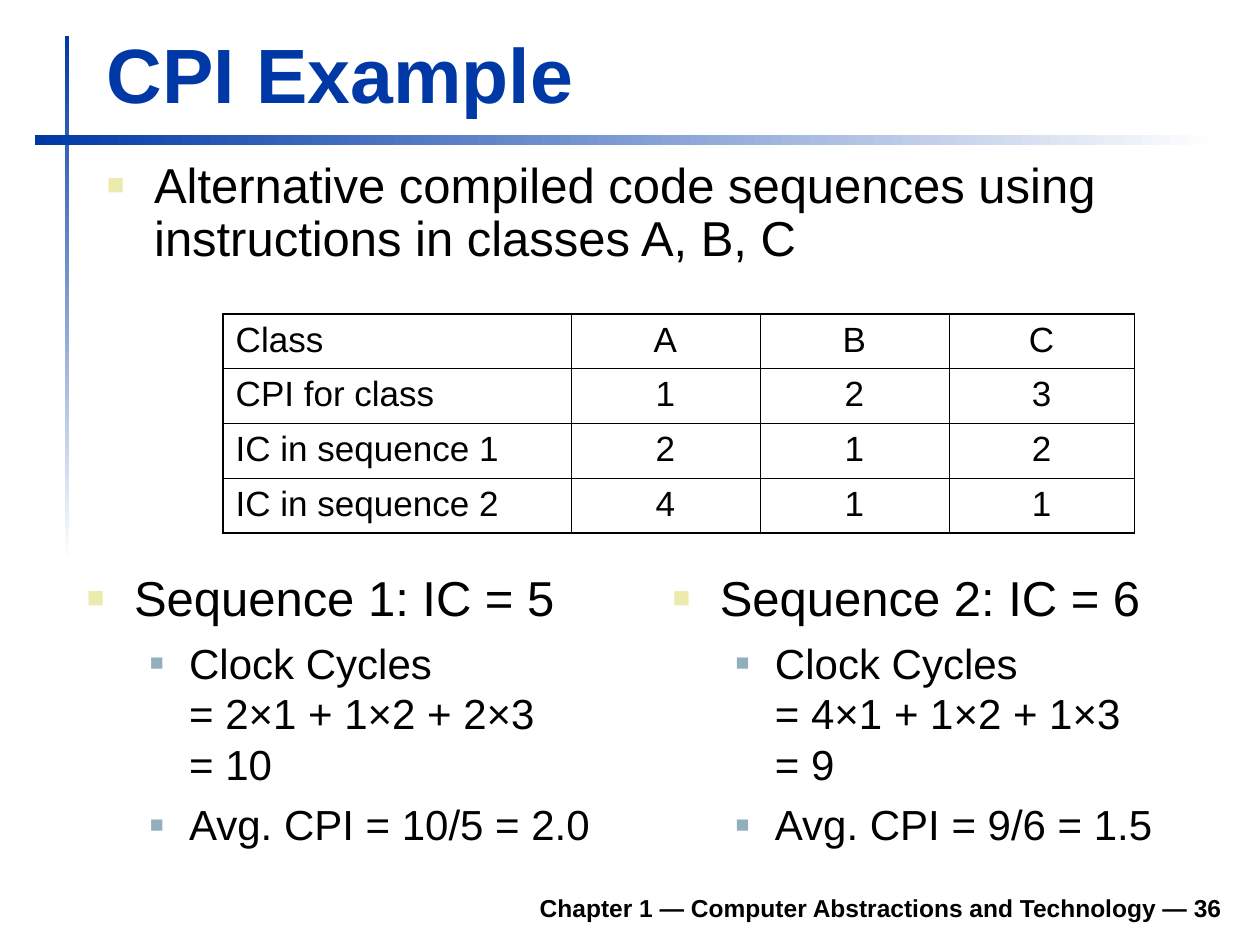
"""Build the CPI example slide with a class table and two worked sequences."""
from dataclasses import dataclass

from lxml import etree
from pptx import Presentation
from pptx.dml.color import RGBColor
from pptx.enum.shapes import MSO_SHAPE
from pptx.enum.text import MSO_ANCHOR, PP_ALIGN
from pptx.oxml.ns import qn
from pptx.util import Pt

RECTANGLE = MSO_SHAPE.RECTANGLE
TOP, BOTTOM = MSO_ANCHOR.TOP, MSO_ANCHOR.BOTTOM
LEFT, CENTER, RIGHT = PP_ALIGN.LEFT, PP_ALIGN.CENTER, PP_ALIGN.RIGHT


@dataclass(frozen=True)
class Theme:
    font: str = "Arial"
    blue: str = "0039A6"
    white: str = "FFFFFF"
    black: str = "000000"
    bullet_colors: tuple = ("ECEAAC", "91AFBF")
    bullet_scales: tuple = (60, 55)
    title_size: int = 44
    level_sizes: tuple = (28, 24)
    table_size: int = 20
    footer_size: int = 14
    outer_line: float = 1.08
    inner_line: float = 0.45


theme = Theme()
LEVEL_INDENTS = ((27, -27), (58.5, -22.5))
LEVEL_SPACING = (7, 6)


def style_paragraph(paragraph, text, size, color=theme.black, bold=False, align=LEFT, space_before=0):
    paragraph.text = text
    paragraph.alignment = align
    paragraph.space_before = Pt(space_before)
    paragraph.font.name = theme.font
    paragraph.font.size = Pt(size)
    paragraph.font.bold = bold
    paragraph.font.color.rgb = RGBColor.from_string(color)


def add_text(box, items, anchor=TOP, line_spacing=1.0, **style):
    """Add a text box of (text, level, size) items; a level of None has no bullet."""
    text_frame = slide.shapes.add_textbox(*map(Pt, box)).text_frame
    text_frame.word_wrap = True
    text_frame.vertical_anchor = anchor
    for index, (text, level, size) in enumerate(items):
        paragraph = text_frame.add_paragraph() if index else text_frame.paragraphs[0]
        spacing = 0
        if level is not None:
            paragraph.level = level
            spacing = LEVEL_SPACING[level]
            properties = paragraph._p.get_or_add_pPr()
            margin, indent = LEVEL_INDENTS[level]
            properties.set("marL", str(Pt(margin)))
            properties.set("indent", str(Pt(indent)))
            color = etree.SubElement(properties, qn("a:buClr"))
            etree.SubElement(color, qn("a:srgbClr"), val=theme.bullet_colors[level])
            etree.SubElement(properties, qn("a:buSzPct"), val=str(theme.bullet_scales[level] * 1000))
            etree.SubElement(properties, qn("a:buFont"), typeface=theme.font)
            etree.SubElement(properties, qn("a:buChar"), char="■")
        style_paragraph(paragraph, text, size, space_before=spacing, **style)
        paragraph.line_spacing = line_spacing


presentation = Presentation()
presentation.slide_width, presentation.slide_height = Pt(720), Pt(540)
slide = presentation.slides.add_slide(presentation.slide_layouts[6])

for box, angle in (((37, 20.5, 2.5, 300), 270), ((19.75, 77, 675, 5.75), 0)):
    bar = slide.shapes.add_shape(RECTANGLE, *map(Pt, box))
    bar.shadow.inherit = False
    bar.line.fill.background()
    bar.fill.gradient()
    bar.fill.gradient_angle = angle
    for stop, position, color in zip(bar.fill.gradient_stops, (0, 1), (theme.blue, theme.white)):
        stop.position = position
        stop.color.rgb = RGBColor.from_string(color)

add_text((133, 502.5, 572.5, 28), [("Chapter 1 — Computer Abstractions and Technology — 36", None, theme.footer_size)],
         anchor=BOTTOM, bold=True, align=RIGHT)
add_text((54, 11.5, 650, 60), [("CPI Example", None, theme.title_size)],
         anchor=BOTTOM, bold=True, color=theme.blue)
add_text((54, 88.5, 651, 78.5),
         [("Alternative compiled code sequences using instructions in classes A, B, C", 0, theme.level_sizes[0])],
         line_spacing=0.9)

rows = (
    ("Class", "A", "B", "C"),
    ("CPI for class", "1", "2", "3"),
    ("IC in sequence 1", "2", "1", "2"),
    ("IC in sequence 2", "4", "1", "1"),
)
column_widths = (198.75, 108, 108, 106)
row_height = 31.25
last_row, last_column = len(rows) - 1, len(column_widths) - 1
table = slide.shapes.add_table(len(rows), len(column_widths), Pt(127.5), Pt(179.5),
                               Pt(sum(column_widths)), Pt(row_height * len(rows))).table
table.first_row = table.horz_banding = False
for column, width in zip(table.columns, column_widths):
    column.width = Pt(width)
for row_index, values in enumerate(rows):
    table.rows[row_index].height = Pt(row_height)
    for column_index, value in enumerate(values):
        cell = table.cell(row_index, column_index)
        style_paragraph(cell.text_frame.paragraphs[0], value, theme.table_size,
                        align=CENTER if column_index else LEFT, space_before=5)
        cell.fill.background()
        edges = (("a:lnL", column_index == 0), ("a:lnR", column_index == last_column),
                 ("a:lnT", row_index == 0), ("a:lnB", row_index == last_row))
        for position, (tag, is_outer) in enumerate(edges):
            width = theme.outer_line if is_outer else theme.inner_line
            border = etree.Element(qn(tag), w=str(Pt(width)))
            fill = etree.SubElement(border, qn("a:solidFill"))
            etree.SubElement(fill, qn("a:srgbClr"), val=theme.black)
            cell._tc.get_or_add_tcPr().insert(position, border)

sequences = (
    (42.5, "Sequence 1: IC = 5", "Clock Cycles\n= 2×1 + 1×2 + 2×3\n= 10", "Avg. CPI = 10/5 = 2.0"),
    (377.25, "Sequence 2: IC = 6", "Clock Cycles\n= 4×1 + 1×2 + 1×3\n= 9", "Avg. CPI = 9/6 = 1.5"),
)
for left, heading, cycles, average in sequences:
    items = [(text, level, theme.level_sizes[level]) for text, level in ((heading, 0), (cycles, 1), (average, 1))]
    add_text((left, 321, 306, 164), items)

presentation.save("out.pptx")
